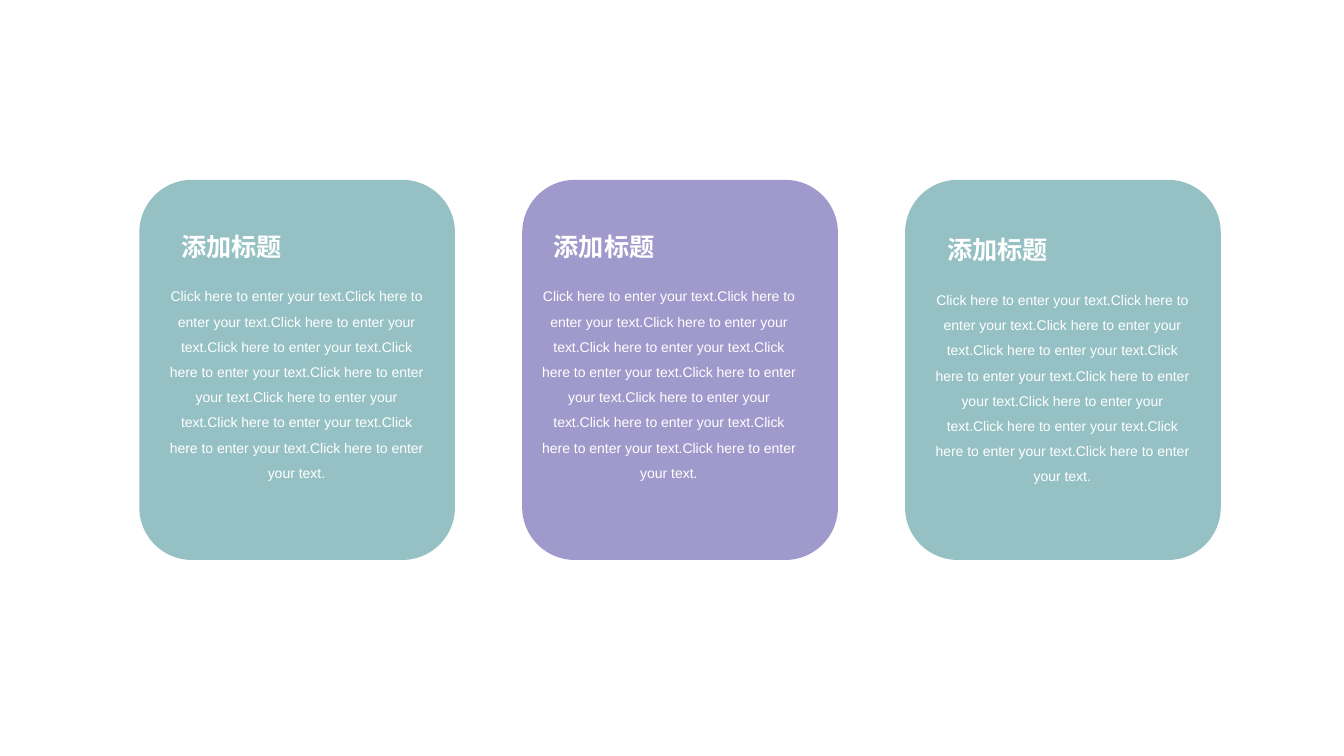
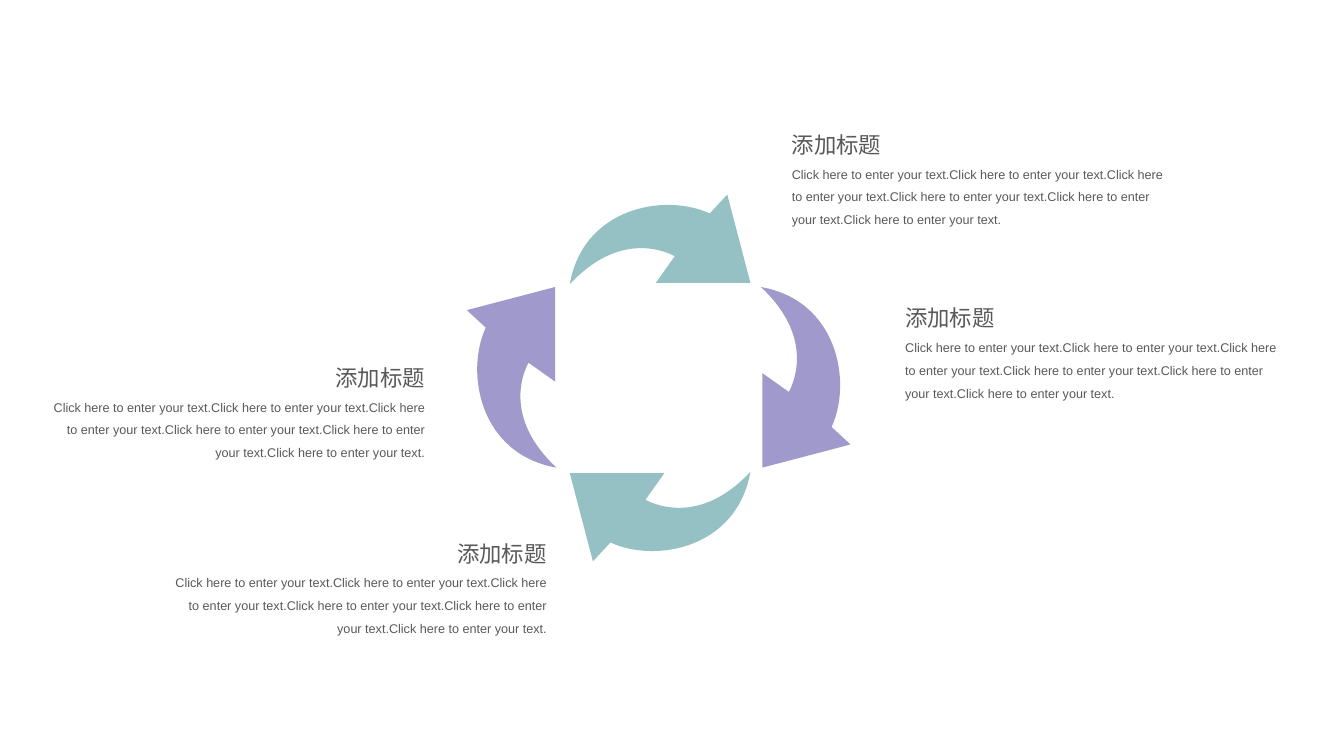
from lxml import etree
from pptx import Presentation, util as u
from pptx.dml.color import RGBColor
from pptx.enum import shapes, text
from pptx.oxml import ns

PX = u.Emu(6350)
TEAL = RGBColor(0x95, 0xC1, 0xC4)
PURPLE = RGBColor(0xA0, 0x99, 0xCB)
WHITE = RGBColor(0xFF, 0xFF, 0xFF)
GREY = RGBColor(0x59, 0x59, 0x59)
LEFT, CENTER, RIGHT = text.PP_ALIGN.LEFT, text.PP_ALIGN.CENTER, text.PP_ALIGN.RIGHT

TITLE = "添加标题"
SENTENCE = "Click here to enter your text."


def emu(*lengths):
    """Turn px lengths into EMU."""
    return [length * PX for length in lengths]


def paint(shape, color):
    """Give a shape a flat fill without line or shadow."""
    shape.shadow.inherit = False
    shape.fill.solid()
    shape.fill.fore_color.rgb = color
    shape.line.fill.background()


def add_text(slide, box, content, size, color, font, align=LEFT, bold=False, wrap=True, spacing=None):
    """Place one styled paragraph in a text box."""
    frame = slide.shapes.add_textbox(*emu(*box)).text_frame
    frame.word_wrap = wrap
    frame.auto_size = text.MSO_AUTO_SIZE.SHAPE_TO_FIT_TEXT
    frame.text = content
    paragraph = frame.paragraphs[0]
    paragraph.alignment = align
    paragraph.line_spacing = spacing
    run_font = paragraph.runs[0].font
    run_font.name = font
    run_font.size = u.Pt(size)
    run_font.bold = bold
    run_font.color.rgb = color


def add_title(slide, box, size, color, align=LEFT, bold=False):
    """Place a one-line heading."""
    add_text(slide, box, TITLE, size, color, "Calibri", align, bold, wrap=False)


def add_body(slide, box, repeats, size, color, align):
    """Place a block of running text."""
    add_text(slide, box, SENTENCE * repeats, size, color, "Arial", align, spacing=1.5)


def add_card_text(slide, box, inset_x, inset_y):
    """Place the heading and text of a card."""
    left, top = box[0] + inset_x, box[1] + inset_y
    add_title(slide, (left, top, 176, 58), 18, WHITE, bold=True)
    add_body(slide, (left - 20, top + 69, 397, 302), 10, 10, WHITE, CENTER)


def bend(line, *controls):
    """Turn a line segment of a freeform into a cubic curve."""
    line.tag = ns.qn("a:cubicBezTo")
    for index, control in enumerate(controls):
        point = etree.Element(ns.qn("a:pt"))
        for axis, length in zip("xy", emu(*control)):
            point.set(axis, str(length))
        line.insert(index, point)


def add_curved_arrow(slide, box, color, rotation):
    """Draw a curved arrow that fills a box, then turn it."""
    left, top, width, height = box
    tip, barb, inner = (width, height - 2), (123, height - 2), (150, 88)
    tail, outer = (0, height), (200, 27)
    builder = slide.shapes.build_freeform(*emu(225, 0))
    builder.add_line_segments([emu(*point) for point in (tip, barb, inner, tail, outer)])
    arrow = builder.convert_to_shape(*emu(left, top))
    segments = list(arrow._element.iter(ns.qn("a:lnTo")))
    bend(segments[3], (131, 78), (68, 55))
    bend(segments[4], (19, 19), (135, -3))
    arrow.rotation = rotation
    paint(arrow, color)


def add_cycle(slide, left, top):
    """Place four arrows clockwise from the top."""
    for index, (across, down) in enumerate(((212, 0), (420, 197), (212, 396), (0, 197))):
        box = (left + across, top + down, 258, 128)
        add_curved_arrow(slide, box, (TEAL, PURPLE)[index % 2], 90 * index)


def add_caption(slide, box, align):
    """Place a heading above its text, both on the same side of a box."""
    left, top, width, height = box
    title_width = 158
    title_left = left + width - title_width if align == RIGHT else left
    add_title(slide, (title_left, top, title_width, 53), 16, GREY, align)
    add_body(slide, (left, top + 40, width, height - 40), 6, 9, GREY, align)


def build_cards_slide(slide):
    """Fill a slide with three equal cards."""
    boxes = [(199 + 547 * index, 257, 451, 543) for index in range(3)]
    for box, color in zip(boxes, (TEAL, PURPLE, TEAL)):
        paint(slide.shapes.add_shape(shapes.MSO_SHAPE.ROUNDED_RECTANGLE, *emu(*box)), color)
    for box, inset in zip(boxes, ((46, 66), (31, 66), (46, 71))):
        add_card_text(slide, box, *inset)


def build_cycle_slide(slide):
    """Fill a slide with an arrow cycle and its captions."""
    add_cycle(slide, 602, 278)
    captions = ((1279, 428, LEFT), (1117, 180, LEFT), (62, 513, RIGHT), (236, 764, RIGHT))
    for left, top, align in captions:
        add_caption(slide, (left, top, 559, 152), align)


def main():
    """Build and save the presentation."""
    presentation = Presentation()
    presentation.slide_width, presentation.slide_height = emu(1920, 1080)
    blank = presentation.slide_layouts[6]
    for build in (build_cards_slide, build_cycle_slide):
        build(presentation.slides.add_slide(blank))
    presentation.save("out.pptx")


if __name__ == "__main__":
    main()
